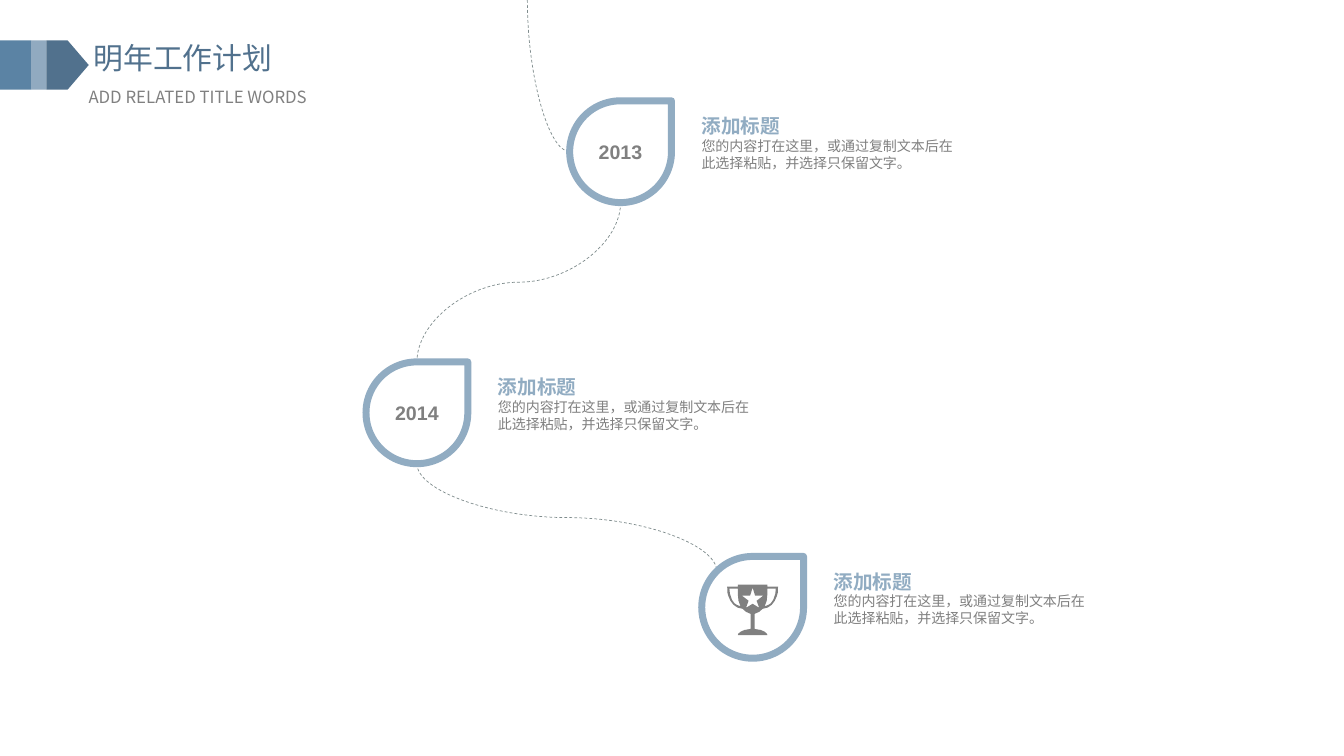
from lxml.etree import SubElement
from pptx import Presentation
from pptx.dml.color import RGBColor
from pptx.enum.dml import MSO_LINE
from pptx.enum.shapes import MSO_CONNECTOR, MSO_SHAPE
from pptx.enum.text import MSO_ANCHOR, MSO_AUTO_SIZE, PP_ALIGN
from pptx.oxml.ns import qn
from pptx.util import Inches, Pt

CJK_FONT = "Noto Sans CJK SC"
BLUE, LIGHT_BLUE, DARK_BLUE = "5B83A4", "91AAC0", "51718D"
RING, GRAY, CURVE_GRAY, WHITE = "91ACC2", "808080", "7F8C8D", "FFFFFF"
DROP_SIZE = 1.01
HEADING = "添加标题"
BODY = "您的内容打在这里，或通过复制文本后在此选择粘贴，并选择只保留文字。"

# Milestones: left, top, year (None carries the trophy)
MILESTONES = [(5.65, 1, "2013"), (3.63, 3.59, "2014"), (6.96, 5.52, None)]

# Right half of the trophy, thousandths of an inch from its top centre
CUP = [(147, 0), (147, 20), (252, 20), (250, 80), (240, 115), (220, 160),
       (190, 200), (150, 228), (100, 240), (65, 270), (20, 290), (20, 440),
       (80, 450), (115, 465), (140, 485), (147, 500)]
HANDLE_HOLE = [(147, 40), (230, 40), (225, 90), (205, 150), (180, 185),
               (155, 202), (120, 215), (140, 160), (147, 90)]
STAR = [(0, 30), (25, 110), (105, 110), (40, 160), (65, 230), (0, 190)]


def color(hex_string):
    return RGBColor.from_string(hex_string)


def add_run(paragraph, text, size, hex_color, font="Arial", bold=False):
    run = paragraph.add_run()
    run.text = text
    run.font.size = Pt(size)
    run.font.name = font
    run.font.bold = bold
    run.font.color.rgb = color(hex_color)
    SubElement(run._r.get_or_add_rPr(), qn("a:ea")).set("typeface", CJK_FONT)
    paragraph.line_spacing = Pt(size * 1.2)


def set_frame(shape):
    frame = shape.text_frame
    frame.word_wrap = True
    frame.auto_size = MSO_AUTO_SIZE.SHAPE_TO_FIT_TEXT
    frame.vertical_anchor = MSO_ANCHOR.TOP
    return frame


def add_box(slide, left, top, width, height):
    box = slide.shapes.add_textbox(*map(Inches, (left, top, width, height)))
    return set_frame(box)


def style(shape, fill, line=None, width=0):
    shape.shadow.inherit = False
    shape.fill.solid()
    shape.fill.fore_color.rgb = color(fill)
    if line:
        shape.line.color.rgb = color(line)
        shape.line.width = Pt(width)
    else:
        shape.line.fill.background()


def add_header(slide, top):
    # Banner of three pieces
    left = 0
    for kind, width, fill in [(MSO_SHAPE.RECTANGLE, 0.31, BLUE),
                              (MSO_SHAPE.RECTANGLE, 0.15, LIGHT_BLUE),
                              (MSO_SHAPE.PENTAGON, 0.42, DARK_BLUE)]:
        piece = slide.shapes.add_shape(
            kind, *map(Inches, (left, top, width, 0.49)))
        style(piece, fill)
        left += width

    # Title and subtitle
    title = slide.shapes.title
    title.left, title.top = Inches(0.83), Inches(top - 0.06)
    title.width, title.height = Inches(2.68), Inches(0.46)
    subtitle = add_box(slide, 0.78, top + 0.41, 2.97, 0.3)
    for frame, text, size, hex_color in [
            (set_frame(title), "明年工作计划", 21.3, DARK_BLUE),
            (subtitle, "ADD RELATED TITLE WORDS", 12, GRAY)]:
        paragraph = frame.paragraphs[0]
        paragraph.alignment = PP_ALIGN.JUSTIFY
        add_run(paragraph, text, size, hex_color, CJK_FONT)


def add_curve(slide, start, end, preset="curvedConnector3"):
    """Dashed curve that leaves its start vertically, as a turned connector."""
    across, down = end[0] - start[0], end[1] - start[1]
    left = (start[0] + end[0] - down) / 2
    top = (start[1] + end[1] - abs(across)) / 2
    curve = slide.shapes.add_connector(
        MSO_CONNECTOR.CURVE,
        *map(Inches, (left, top, left + down, top + abs(across))))
    curve.line.color.rgb = color(CURVE_GRAY)
    curve.line.width = Pt(0.5)
    curve.line.dash_style = MSO_LINE.DASH
    properties = curve._element.spPr
    properties.find(qn("a:prstGeom")).set("prst", preset)
    transform = properties.find(qn("a:xfrm"))
    transform.set("rot", str((270 if across > 0 else 90) * 60000))
    if across > 0:
        transform.set("flipH", "1")
    SubElement(properties, qn("a:effectLst"))


def add_path(slide):
    first, second, third = [(left, top) for left, top, _ in MILESTONES]
    middle = DROP_SIZE / 2
    add_curve(slide, (5.23, 0), (first[0], first[1] + middle),
              "curvedConnector2")
    add_curve(slide, (first[0] + middle, first[1] + DROP_SIZE),
              (second[0] + middle, second[1]))
    add_curve(slide, (second[0] + middle, second[1] + DROP_SIZE),
              (third[0] + 0.15, third[1] + 0.15))


def mirror(points):
    return [(-x, y) for x, y in reversed(points)]


def add_trophy(slide, center, top):
    outline = CUP + mirror(CUP)
    builder = slide.shapes.build_freeform(*outline[0], scale=Inches(0.001))
    builder.add_line_segments(outline[1:], close=True)
    for hole in (HANDLE_HOLE, mirror(HANDLE_HOLE), STAR + mirror(STAR)[1:-1]):
        builder.move_to(*hole[0])
        builder.add_line_segments(hole[1:], close=True)
    trophy = builder.convert_to_shape(Inches(center), Inches(top))
    style(trophy, GRAY)


def add_milestone(slide, left, top, year):
    drop = slide.shapes.add_shape(
        MSO_SHAPE.TEAR, *map(Inches, (left, top, DROP_SIZE, DROP_SIZE)))
    style(drop, WHITE, RING, 5)
    if year:
        drop.text_frame.vertical_anchor = MSO_ANCHOR.MIDDLE
        paragraph = drop.text_frame.paragraphs[0]
        paragraph.alignment = PP_ALIGN.CENTER
        add_run(paragraph, year, 14, GRAY, bold=True)
    else:
        add_trophy(slide, left + DROP_SIZE / 2, top + 0.28)

    # Heading and description
    frame = add_box(slide, left + 1.21, top + 0.08, 2.74, 0.67)
    add_run(frame.paragraphs[0], HEADING, 14, RING, bold=True)
    add_run(frame.add_paragraph(), BODY, 10, GRAY)


def main():
    presentation = Presentation()
    presentation.slide_width = Inches(13.33)
    presentation.slide_height = Inches(7.5)
    slide = presentation.slides.add_slide(presentation.slide_layouts[5])
    add_header(slide, 0.4)
    add_path(slide)
    for milestone in MILESTONES:
        add_milestone(slide, *milestone)
    presentation.save("out.pptx")


if __name__ == "__main__":
    main()
